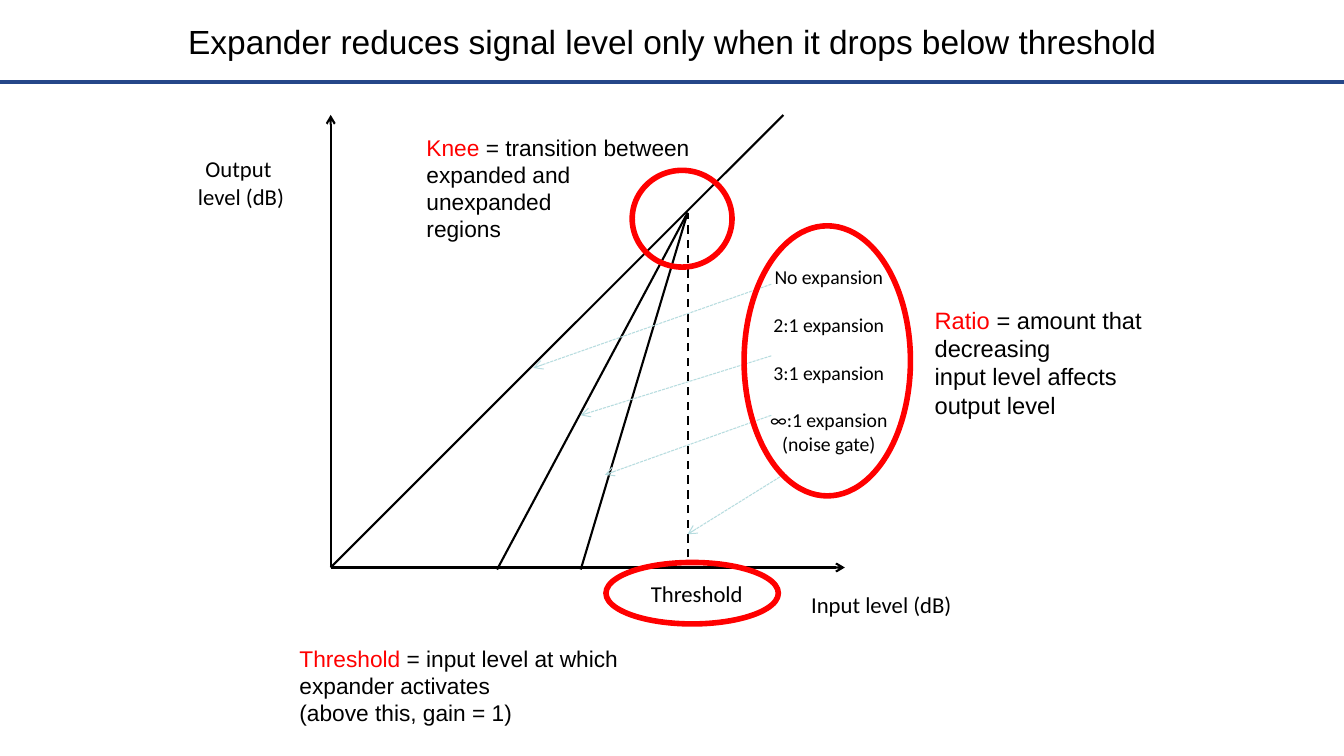
from typing import NamedTuple

from lxml import etree
from pptx import Presentation
from pptx import util as u
from pptx.dml.color import RGBColor
from pptx.enum import dml, shapes, text
from pptx.oxml.ns import qn

SCALE = 9144  # EMU per px, 100 px to the inch
HUES = {"ink": "000000", "red": "FF0000", "rule": "254789", "pale": "B6DCDF"}
DASH = dml.MSO_LINE


class Line(NamedTuple):
    start: tuple[int, int]
    end: tuple[int, int]
    hue: str = "ink"
    width: float = 1.5
    dash: DASH | None = None
    arrow: bool = False


class Label(NamedTuple):
    box: tuple[int, int, int, int]
    lines: list[str]
    size: float = 16.2
    gaps: tuple[int, ...] = ()  # lines that have an empty line's height above


class Note(NamedTuple):
    box: tuple[int, int, int, int]
    term: str
    lines: list[str]
    size: float = 16.2


ORIGIN = (328, 563)
KNEE = (682, 211)

LINES = [
    Line((0, 81), (1333, 81), "rule", 3),
    Line(ORIGIN, (838, 563), arrow=True),
    Line(ORIGIN, (328, 114), arrow=True),
    Line(ORIGIN, (777, 114)),
    Line(KNEE, (493, 565)),
    Line(KNEE, (576, 565)),
    Line((682, 553), KNEE, dash=DASH.DASH),
]
POINTERS = [
    ((765, 282), (529, 365)),
    ((765, 353), (576, 412)),
    ((765, 412), (600, 471)),
    ((777, 471), (682, 530)),
]
LABELS = [
    Label((753, 258, 138, 199),
          ["No expansion", "2:1 expansion", "3:1 expansion",
           "∞:1 expansion", "(noise gate)"], 14.1, (1, 2, 3)),
    Label((794, 581, 160, 37), ["Input level (dB)"]),
    Label((186, 149, 106, 65), ["Output ", "level (dB)"]),
    Label((635, 570, 112, 37), ["Threshold"]),
]
NOTES = [
    Note((297, 610, 362, 140), "Threshold ",
         ["= input level at which", "expander activates",
          "(above this, gain = 1)"]),
    Note((423, 92, 291, 189), "Knee ",
         ["= transition between", "expanded and", "unexpanded", "regions"]),
    Note((927, 273, 240, 173), "Ratio ",
         ["= amount that decreasing", "input level affects output level"],
         16.9),
]
RINGS = [(601, 558, 171, 61), (738, 224, 165, 268), (627, 169, 99, 96)]


def px(*nums: int) -> list[int]:
    return [u.Emu(num * SCALE) for num in nums]


def color(name: str) -> RGBColor:
    return RGBColor.from_string(HUES[name])


def draw_line(slide, line: Line) -> None:
    link = slide.shapes.add_connector(
        shapes.MSO_CONNECTOR.STRAIGHT, *px(*line.start, *line.end))
    link.line.color.rgb = color(line.hue)
    link.line.width = u.Pt(line.width)
    if line.dash is not None:
        link.line.dash_style = line.dash
    if line.arrow:
        tail = etree.SubElement(link.line._get_or_add_ln(), qn("a:tailEnd"))
        tail.set("type", "arrow")
    etree.SubElement(link._element.spPr, qn("a:effectLst"))


def draw_ring(slide, box: tuple[int, int, int, int]) -> None:
    ring = slide.shapes.add_shape(shapes.MSO_SHAPE.OVAL, *px(*box))
    ring.shadow.inherit = False
    ring.fill.background()
    ring.line.color.rgb = color("red")
    ring.line.width = u.Pt(4)


def add_text(slide, box: tuple[int, int, int, int], lines: list[str], *,
             size: float, font: str = "Arial", term: str = "",
             align=text.PP_ALIGN.LEFT, anchor=text.MSO_ANCHOR.MIDDLE,
             inset: tuple[int, int] = (0, 0), wrap: bool = True,
             gaps: tuple[int, ...] = ()) -> None:
    """Add one paragraph per line, with a red term before the first."""
    frame = slide.shapes.add_textbox(*px(*box)).text_frame
    frame.word_wrap = wrap
    frame.vertical_anchor = anchor
    side, edge = px(*inset)
    frame.margin_left = frame.margin_right = side
    frame.margin_top = frame.margin_bottom = edge
    for num, line in enumerate(lines):
        para = frame.add_paragraph() if num else frame.paragraphs[0]
        para.alignment = align
        if num in gaps:
            para.space_before = u.Pt(round(size * 1.22, 1))
        parts = [(line, "ink")]
        if term and num == 0:
            parts.insert(0, (term, "red"))
        for words, hue in parts:
            run = para.add_run()
            run.text = words
            run.font.name = font
            run.font.size = u.Pt(size)
            run.font.color.rgb = color(hue)


def main() -> None:
    deck = Presentation()
    deck.slide_width, deck.slide_height = px(1333, 750)
    slide = deck.slides.add_slide(deck.slide_layouts[6])

    add_text(slide, (167, 5, 1000, 71),
             ["Expander reduces signal level only when it drops below threshold"],
             size=23.9, align=text.PP_ALIGN.CENTER, inset=(6, 6))
    for line in LINES:
        draw_line(slide, line)
    for start, end in POINTERS:
        draw_line(slide, Line(start, end, "pale", 0.75,
                              DASH.SQUARE_DOT, True))
    for label in LABELS:
        add_text(slide, label.box, label.lines, size=label.size,
                 font="Calibri", align=text.PP_ALIGN.CENTER,
                 anchor=text.MSO_ANCHOR.TOP, inset=(10, 5), wrap=False,
                 gaps=label.gaps)
    for note in NOTES:
        add_text(slide, note.box, note.lines, size=note.size, term=note.term)
    for box in RINGS:
        draw_ring(slide, box)
    deck.save("out.pptx")


if __name__ == "__main__":
    main()
